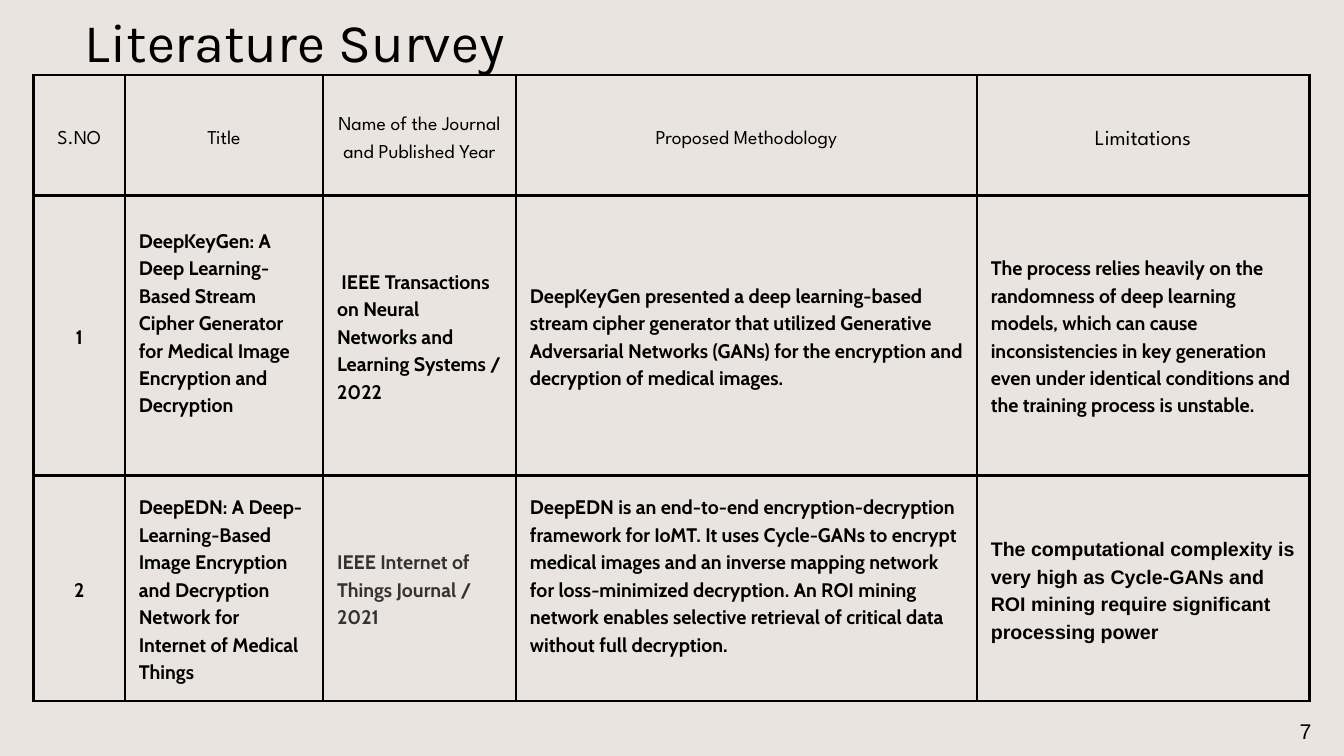
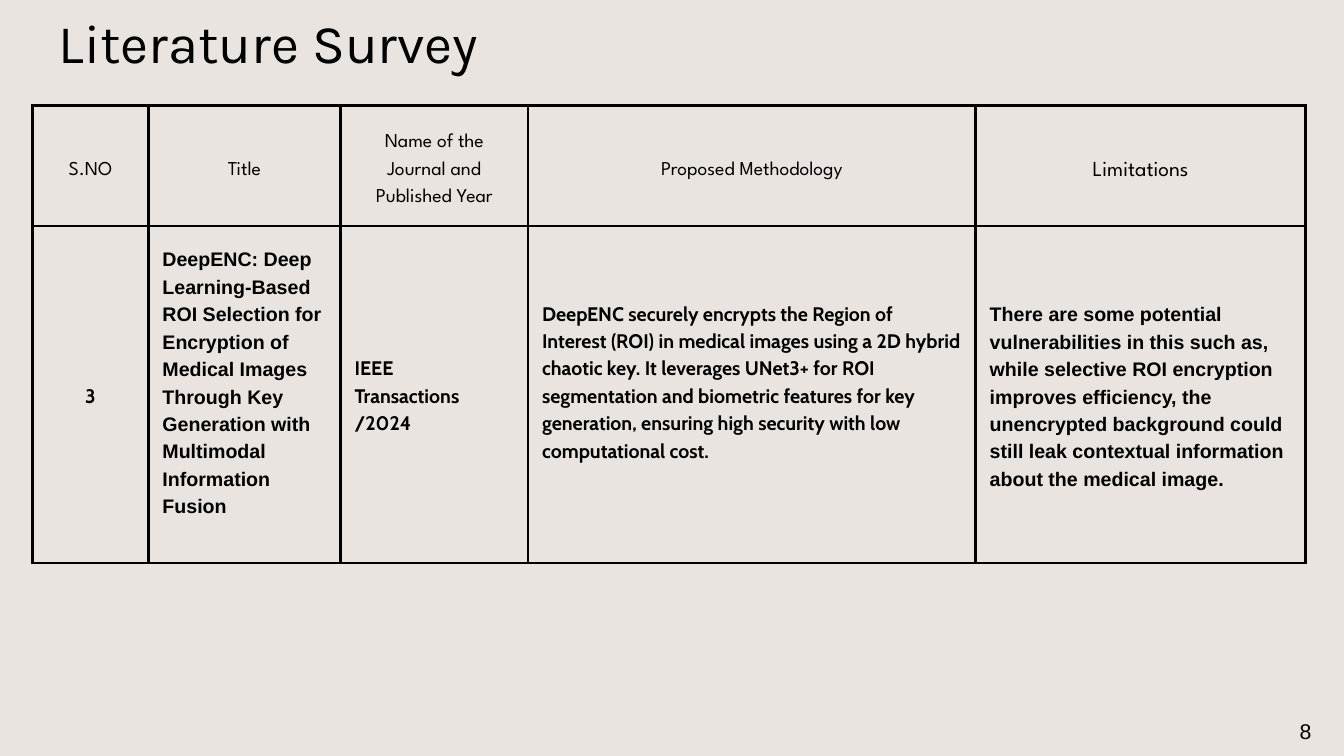
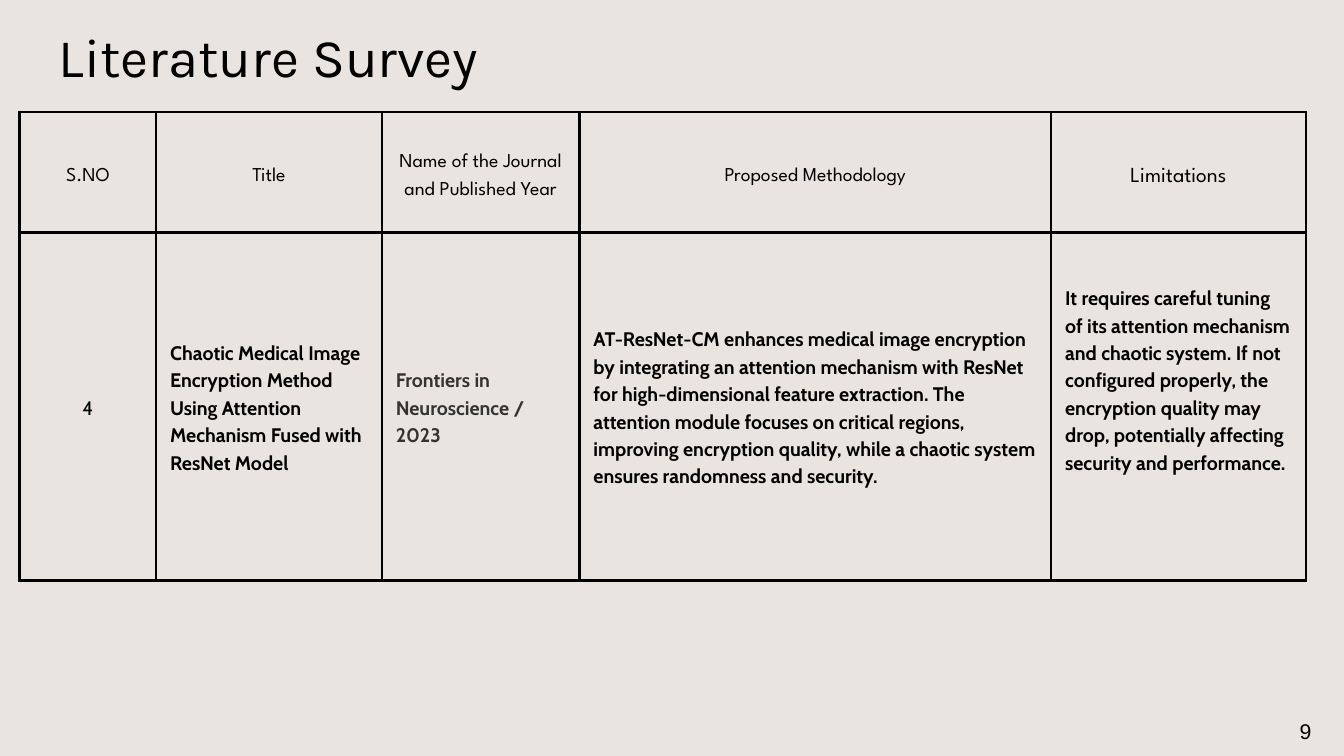
from dataclasses import dataclass

import pptx
import pptx.dml.color
import pptx.enum.text
import pptx.oxml
import pptx.oxml.ns
import pptx.util
from pptx.util import Cm, Pt

COLORS = {"paper": "E9E4DF", "ink": "000000", "journal": "333333"}
CENTER = pptx.enum.text.PP_ALIGN.CENTER
LEFT = pptx.enum.text.PP_ALIGN.LEFT
LINE_PT = 29.4
CELL_MARGIN = Cm(0.53)
HEADER_HEIGHT = 4.55


@dataclass
class Entry:
    """Text of one table cell; raised counts the free lines kept below it."""
    text: str
    font: str = "Cabin"
    color: str = "ink"
    bold: bool = True
    size: float = 21
    line: float = LINE_PT
    align: object = LEFT
    raised: int = 0


def heading(text, size=21, line=LINE_PT):
    return Entry(text, "League Spartan", bold=False, size=size, line=line, align=CENTER)


def number(text, bold=True):
    return Entry(text, bold=bold, align=CENTER)


HEADINGS = [
    heading("S.NO"),
    heading("Title"),
    heading("Name of the Journal and Published Year"),
    heading("Proposed Methodology"),
    heading("Limitations", size=23, line=32.2),
]

# Each survey page: title place, table place, column widths, row heights (cm), papers
SURVEY_PAGES = [
    {
        "page": "7",
        "title_at": (0.99, 0.71),
        "table_at": (1.27, 2.84),
        "columns": [3.45, 7.49, 7.29, 17.42, 12.57],
        "paper_heights": [10.59, 8.53],
        "papers": [
            [
                number("1"),
                Entry("DeepKeyGen: A Deep Learning-Based Stream Cipher Generator for "
                      "Medical Image Encryption and Decryption", raised=1),
                Entry(" IEEE Transactions on Neural Networks and Learning Systems / 2022"),
                Entry("DeepKeyGen presented a deep learning-based stream cipher generator "
                      "that utilized Generative Adversarial Networks (GANs) for the "
                      "encryption and decryption of medical images."),
                Entry("The process relies heavily on the randomness of deep learning "
                      "models, which can cause inconsistencies in key generation even "
                      "under identical conditions and the training process is unstable."),
            ],
            [
                number("2"),
                Entry("DeepEDN: A Deep-Learning-Based Image Encryption and Decryption "
                      "Network for Internet of Medical Things"),
                Entry("IEEE Internet of Things Journal / 2021", color="journal"),
                Entry("DeepEDN is an end-to-end encryption-decryption framework for IoMT. "
                      "It uses Cycle-GANs to encrypt medical images and an inverse mapping "
                      "network for loss-minimized decryption. An ROI mining network enables "
                      "selective retrieval of critical data without full decryption.",
                      raised=1),
                Entry("The computational complexity is very high as Cycle-GANs and ROI "
                      "mining require significant processing power", font="Arial"),
            ],
        ],
    },
    {
        "page": "8",
        "title_at": (0, 0.74),
        "table_at": (1.22, 3.99),
        "columns": [4.39, 7.26, 7.09, 16.92, 12.47],
        "paper_heights": [12.75],
        "papers": [
            [
                number("3"),
                Entry("DeepENC: Deep Learning-Based ROI Selection for Encryption of Medical "
                      "Images Through Key Generation with Multimodal Information Fusion",
                      font="Arial", raised=1),
                Entry("IEEE Transactions /2024"),
                Entry("DeepENC securely encrypts the Region of Interest (ROI) in medical "
                      "images using a 2D hybrid chaotic key. It leverages UNet3+ for ROI "
                      "segmentation and biometric features for key generation, ensuring "
                      "high security with low computational cost.", raised=1),
                Entry("There are some potential vulnerabilities in this such as, while "
                      "selective ROI encryption improves efficiency, the unencrypted "
                      "background could still leak contextual information about the "
                      "medical image.", font="Arial"),
            ],
        ],
    },
    {
        "page": "9",
        "title_at": (0, 1.3),
        "table_at": (0.74, 4.24),
        "columns": [5.16, 8.53, 7.47, 17.83, 9.63],
        "paper_heights": [13.16],
        "papers": [
            [
                number("4", bold=False),
                Entry("Chaotic Medical Image Encryption Method Using Attention Mechanism "
                      "Fused with ResNet Model"),
                Entry("Frontiers in Neuroscience / 2023", color="journal"),
                Entry("AT-ResNet-CM enhances medical image encryption by integrating an "
                      "attention mechanism with ResNet for high-dimensional feature "
                      "extraction. The attention module focuses on critical regions, "
                      "improving encryption quality, while a chaotic system ensures "
                      "randomness and security."),
                Entry("It requires careful tuning of its attention mechanism and chaotic "
                      "system. If not configured properly, the encryption quality may drop, "
                      "potentially affecting security and performance.", raised=2),
            ],
        ],
    },
]


def rgb(name):
    return pptx.dml.color.RGBColor.from_string(COLORS[name])


def write(frame, entry):
    """Put the entry into the frame's single paragraph."""
    paragraph = frame.paragraphs[0]
    paragraph.text = entry.text
    paragraph.alignment = entry.align
    paragraph.line_spacing = Pt(entry.line)
    paragraph.font.name = entry.font
    paragraph.font.size = Pt(entry.size)
    paragraph.font.bold = entry.bold
    paragraph.font.color.rgb = rgb(entry.color)


def add_label(slide, left, top, width, height, entry, wrap=True):
    label = slide.shapes.add_textbox(Cm(left), Cm(top), Cm(width), Cm(height))
    frame = label.text_frame
    frame.margin_left = frame.margin_right = frame.margin_top = frame.margin_bottom = 0
    frame.word_wrap = wrap
    frame.auto_size = pptx.enum.text.MSO_AUTO_SIZE.SHAPE_TO_FIT_TEXT
    write(frame, entry)


def set_borders(cell, width=Pt(3)):
    properties = cell._tc.get_or_add_tcPr()
    for position, side in enumerate(("lnL", "lnR", "lnT", "lnB")):
        border = pptx.oxml.parse_xml(
            f'<a:{side} {pptx.oxml.ns.nsdecls("a")} w="{width}"><a:solidFill>'
            f'<a:srgbClr val="{COLORS["ink"]}"/></a:solidFill></a:{side}>')
        properties.insert(position, border)


def fill_cell(cell, entry):
    cell.fill.background()
    set_borders(cell)
    cell.vertical_anchor = pptx.enum.text.MSO_ANCHOR.MIDDLE
    cell.margin_left = cell.margin_right = cell.margin_top = CELL_MARGIN
    cell.margin_bottom = CELL_MARGIN + Pt(LINE_PT * entry.raised)
    write(cell.text_frame, entry)


def add_survey_table(slide, survey):
    rows = [HEADINGS] + survey["papers"]
    heights = [HEADER_HEIGHT] + survey["paper_heights"]
    widths = survey["columns"]
    left, top = survey["table_at"]
    table = slide.shapes.add_table(len(rows), len(widths), Cm(left), Cm(top),
                                   Cm(sum(widths)), Cm(sum(heights))).table
    table.first_row = table.horz_banding = False
    for column, width in zip(table.columns, widths):
        column.width = Cm(width)
    for row, height, entries in zip(table.rows, heights, rows):
        row.height = Cm(height)
        for cell, entry in zip(row.cells, entries):
            fill_cell(cell, entry)


def add_survey_slide(deck, survey):
    slide = deck.slides.add_slide(deck.slide_layouts[6])
    slide.background.fill.solid()
    slide.background.fill.fore_color.rgb = rgb("paper")
    add_survey_table(slide, survey)
    # Title
    add_label(slide, *survey["title_at"], 20.8, 2.13,
              Entry("Literature Survey ", "Karla", bold=False, size=58.3, line=58.3,
                    align=CENTER))
    # Page number
    add_label(slide, 49.12, 27, 0.43, 0.58,
              Entry(survey["page"], "Arial", bold=False, size=22.8, line=32, align=CENTER),
              wrap=False)


def main():
    deck = pptx.Presentation()
    deck.slide_width, deck.slide_height = Cm(50.8), Cm(28.58)
    for survey in SURVEY_PAGES:
        add_survey_slide(deck, survey)
    deck.save("out.pptx")


if __name__ == "__main__":
    main()
